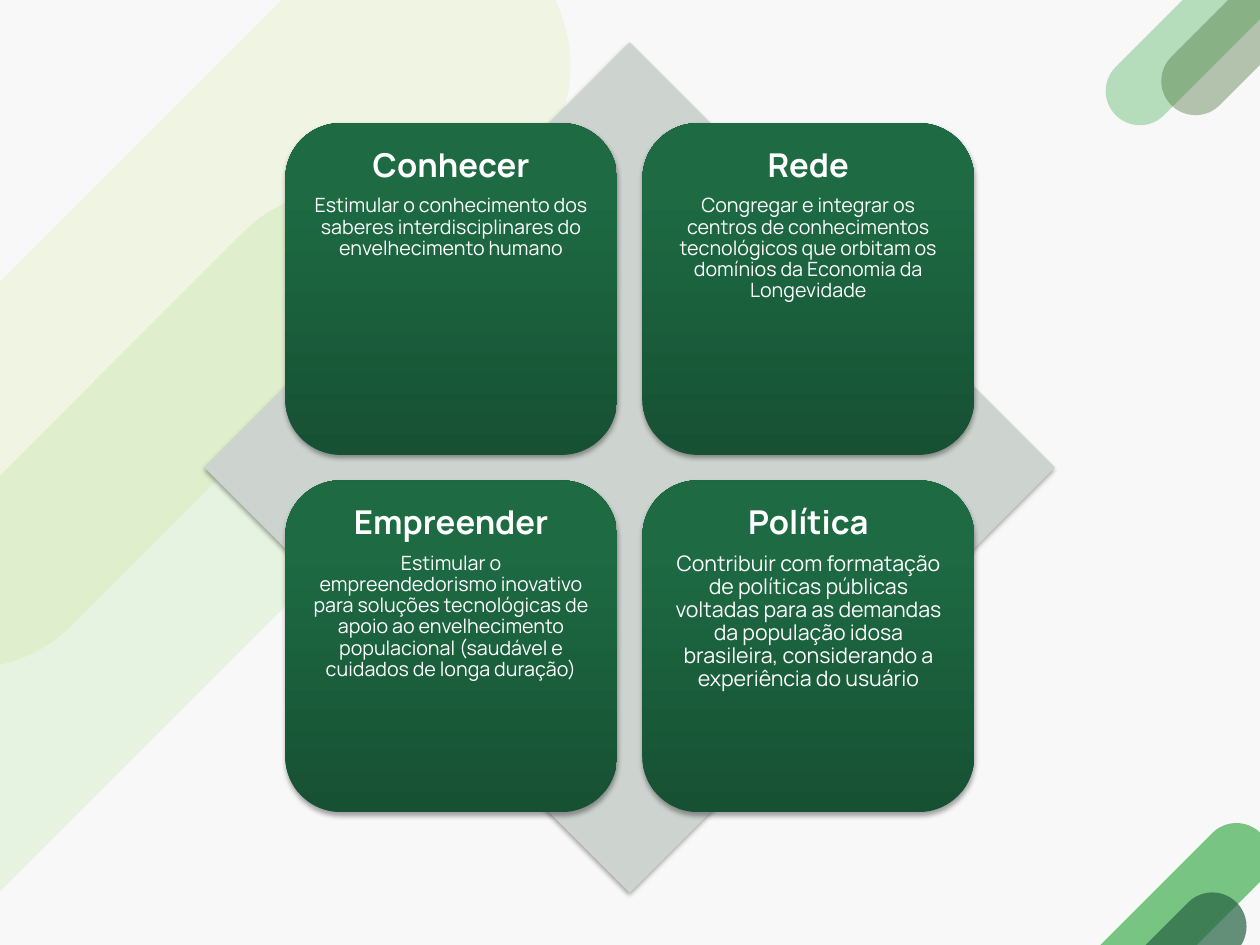
from lxml import etree
from pptx import Presentation
from pptx.dml.color import RGBColor
from pptx.enum.shapes import MSO_SHAPE
from pptx.enum.text import MSO_ANCHOR, PP_ALIGN
from pptx.oxml.ns import qn
from pptx.util import Cm, Pt

DIAMOND = MSO_SHAPE.DIAMOND
ROUNDED = MSO_SHAPE.ROUNDED_RECTANGLE
CENTER = PP_ALIGN.CENTER
TOP = MSO_ANCHOR.TOP

FONT = "Manrope"
COLORS = {
    "background": "F8F8F8",
    "lime": "C9E265",
    "light_green": "7ED957",
    "green": "45AF53",
    "forest": "276445",
    "olive": "3E662C",
    "diamond": "CDD3CF",
    "card_bottom": "165133",
    "card_top": "1D6A43",
    "text": "FFFFFF",
    "shadow": "000000",
}

# Left, top, width, height in cm, colour, opacity in percent
BANDS = [
    (-5.87, 3.15, 20.17, 6.32, "lime", 15),
    (-10.64, 10.26, 23.83, 6.32, "light_green", 15),
    (22.23, 19.2, 5.72, 1.47, "green", 71),
    (22.61, 20.32, 4.67, 1.47, "forest", 71),
    (23.16, -0.28, 5.72, 1.47, "green", 37),
    (24.71, 0.36, 3.3, 1.47, "olive", 37),
]

# Heading, body, body size in points; read row by row
CARDS = [
    ("Conhecer", "Estimular o conhecimento dos saberes interdisciplinares do "
     "envelhecimento humano", 12),
    ("Rede", "Congregar e integrar os centros de conhecimentos tecnológicos "
     "que orbitam os domínios da Economia da Longevidade", 12),
    ("Empreender", "Estimular o empreendedorismo inovativo para soluções "
     "tecnológicas de apoio ao envelhecimento populacional (saudável e "
     "cuidados de longa duração)", 12),
    ("Política", "Contribuir com formatação de políticas públicas voltadas "
     "para as demandas da população idosa brasileira, considerando a "
     "experiência do usuário", 13),
]


def color(name):
    return RGBColor.from_string(COLORS[name])


def add_plain_shape(slide, kind, left, top, width, height):
    shape = slide.shapes.add_shape(kind, Cm(left), Cm(top), Cm(width), Cm(height))
    shape.shadow.inherit = False
    shape.line.fill.background()
    return shape


def fill_solid(shape, name):
    shape.fill.solid()
    shape.fill.fore_color.rgb = color(name)


def add_alpha(color_element, percent):
    etree.SubElement(color_element, qn("a:alpha"), val=str(percent * 1000))


def add_soft_shadow(shape):
    effects = shape._element.spPr.find(qn("a:effectLst"))
    shadow = etree.SubElement(effects, qn("a:outerShdw"), blurRad=str(Pt(3.1)),
                              dist=str(Pt(1.8)), dir="5400000", rotWithShape="0")
    tint = etree.SubElement(shadow, qn("a:srgbClr"), val=COLORS["shadow"])
    add_alpha(tint, 35)


def add_band(slide, left, top, width, height, name, opacity):
    band = add_plain_shape(slide, ROUNDED, left, top, width, height)
    band.adjustments[0] = 0.5
    band.rotation = 315
    fill_solid(band, name)
    add_alpha(band._element.spPr.find(".//" + qn("a:srgbClr")), opacity)


def write_paragraph(paragraph, text, space_after, size, bold):
    paragraph.text = text
    for name, value in {"alignment": CENTER, "line_spacing": 0.9,
                        "space_after": Pt(space_after)}.items():
        setattr(paragraph, name, value)
    for name, value in {"name": FONT, "size": Pt(size), "bold": bold}.items():
        setattr(paragraph.font, name, value)
    paragraph.font.color.rgb = color("text")


def add_card(slide, left, top, side, heading, body, body_size):
    card = add_plain_shape(slide, ROUNDED, left, top, side, side)
    card.fill.gradient()
    card.fill.gradient_angle = 90
    stops = [(0, "card_bottom"), (0.8, "card_top")]
    for stop, (position, name) in zip(card.fill.gradient_stops, stops):
        stop.position = position
        stop.color.rgb = color(name)
    add_soft_shadow(card)

    # Text area inside the rounded corners
    inset = 0.05 * side
    text_side = Cm(side - 2 * inset)
    box = slide.shapes.add_textbox(Cm(left + inset), Cm(top + inset),
                                   text_side, text_side)
    frame = box.text_frame
    for name, value in {"word_wrap": True, "vertical_anchor": TOP,
                        "margin_left": Cm(0.2), "margin_right": Cm(0.2),
                        "margin_top": Cm(0.2), "margin_bottom": Cm(0.2)}.items():
        setattr(frame, name, value)
    write_paragraph(frame.paragraphs[0], heading, 7, 20, True)
    write_paragraph(frame.add_paragraph(), body, 2, body_size, False)


def add_matrix(slide, left, top, side):
    diamond = add_plain_shape(slide, DIAMOND, left, top, side, side)
    fill_solid(diamond, "diamond")
    add_soft_shadow(diamond)

    # Two by two cards, centred on the diamond
    card_side, pitch = 0.39 * side, 0.42 * side
    margin = (side - pitch - card_side) / 2
    for index, card in enumerate(CARDS):
        row, column = divmod(index, 2)
        add_card(slide, left + margin + column * pitch,
                 top + margin + row * pitch, card_side, *card)


def main():
    presentation = Presentation()
    presentation.slide_width = Cm(27.1)
    presentation.slide_height = Cm(20.32)
    slide = presentation.slides.add_slide(presentation.slide_layouts[6])
    slide.background.fill.solid()
    slide.background.fill.fore_color.rgb = color("background")

    for band in BANDS:
        add_band(slide, *band)
    add_matrix(slide, 4.4, 0.91, 18.29)
    presentation.save("out.pptx")


if __name__ == "__main__":
    main()
